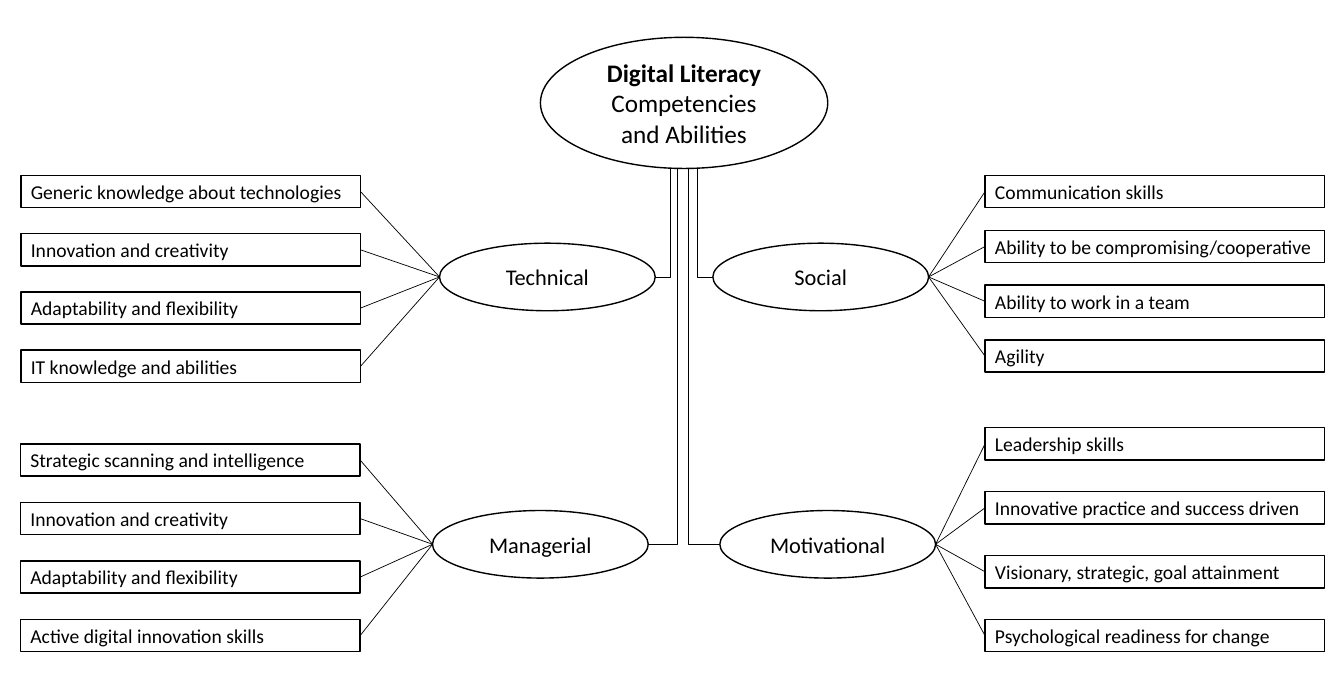
from dataclasses import dataclass

from pptx import Presentation
from pptx import util as u
from pptx.dml.color import RGBColor
from pptx.enum import shapes, text
from pptx.oxml import ns, xmlchemy

WIDTH, HEIGHT = u.Inches(13.33), u.Inches(6.69)
BLACK, WHITE = "000000", "FFFFFF"
FONT = "Calibri"
CENTRE = 50.9
ROOT_TOP, ROOT_WIDTH, ROOT_HEIGHT = 5.53, 21.38, 19.43
BRANCH_WIDTH, BRANCH_HEIGHT = 16.05, 10.01
SKILL_WIDTH, SKILL_HEIGHT = 25.28, 4.78


@dataclass(frozen=True)
class Branch:
    name: str
    side: int
    offset: float
    middle: float
    trunk: float
    skills_left: float
    skills_top: float
    skills_pitch: float
    skills: tuple[str, ...]


BRANCHES = (
    Branch("Technical", -1, 10.17, 41.03, 1.01, 1.55, 26.01, 8.62, (
        "Generic knowledge about technologies",
        "Innovation and creativity",
        "Adaptability and flexibility",
        "IT knowledge and abilities",
    )),
    Branch("Managerial", -1, 10.69, 80.64, 0.49, 1.52, 65.77, 8.67, (
        "Strategic scanning and intelligence",
        "Innovation and creativity",
        "Adaptability and flexibility",
        "Active digital innovation skills",
    )),
    Branch("Social", 1, 10.17, 41.03, 1.01, 73.29, 26.01, 8.12, (
        "Communication skills",
        "Ability to be compromising/cooperative",
        "Ability to work in a team",
        "Agility",
    )),
    Branch("Motivational", 1, 10.69, 80.64, 0.34, 73.29, 63.38, 9.47, (
        "Leadership skills",
        "Innovative practice and success driven",
        "Visionary, strategic, goal attainment",
        "Psychological readiness for change",
    )),
)


def across(percent: float) -> int:
    return round(WIDTH * percent / 100)


def down(percent: float) -> int:
    return round(HEIGHT * percent / 100)


def paint(color_format, color: str) -> None:
    color_format.rgb = RGBColor.from_string(color)


def add_box(slide, preset, left: float, top: float, width: float, height: float,
            runs: tuple[str, ...], size: int, alignment):
    shape = slide.shapes.add_shape(
        preset, across(left), down(top), across(width), down(height))
    shape.shadow.inherit = False
    shape.fill.solid()
    paint(shape.fill.fore_color, WHITE)
    paint(shape.line.color, BLACK)
    shape.line.width = u.Pt(1)
    shape.text_frame.word_wrap = True
    shape.text_frame.vertical_anchor = text.MSO_ANCHOR.MIDDLE
    paragraph = shape.text_frame.paragraphs[0]
    paragraph.alignment = alignment
    for content in runs:
        run = paragraph.add_run()
        run.text = content
        run.font.name = FONT
        run.font.size = u.Pt(size)
        paint(run.font.color, BLACK)
    return shape


def add_line(slide, start: tuple[float, float], end: tuple[float, float],
             bent: bool = False) -> None:
    kind = shapes.MSO_CONNECTOR.ELBOW if bent else shapes.MSO_CONNECTOR.STRAIGHT
    connector = slide.shapes.add_connector(
        kind, across(start[0]), down(start[1]), across(end[0]), down(end[1]))
    paint(connector.line.color, BLACK)
    connector.line.width = u.Pt(0.5)
    properties = connector._element.spPr
    properties.append(xmlchemy.OxmlElement("a:effectLst"))
    if bent:
        properties.find(ns.qn("a:prstGeom")).set("prst", "bentConnector2")


def add_root(slide) -> None:
    shape = add_box(
        slide, shapes.MSO_SHAPE.OVAL, CENTRE - ROOT_WIDTH / 2, ROOT_TOP,
        ROOT_WIDTH, ROOT_HEIGHT,
        ("Digital Literacy", " Competencies and Abilities"), 18,
        text.PP_ALIGN.CENTER)
    shape.text_frame.paragraphs[0].runs[0].font.bold = True


def add_branch(slide, branch: Branch) -> None:
    middle_x = CENTRE + branch.side * branch.offset
    reach = branch.side * BRANCH_WIDTH / 2
    add_line(slide, (middle_x - reach, branch.middle),
             (CENTRE + branch.side * branch.trunk, ROOT_TOP + ROOT_HEIGHT), True)
    add_box(slide, shapes.MSO_SHAPE.OVAL, middle_x - BRANCH_WIDTH / 2,
            branch.middle - BRANCH_HEIGHT / 2, BRANCH_WIDTH, BRANCH_HEIGHT,
            (branch.name,), 16, text.PP_ALIGN.CENTER)
    near_edge = branch.skills_left + (SKILL_WIDTH if branch.side < 0 else 0)
    for row, skill in enumerate(branch.skills):
        top = branch.skills_top + row * branch.skills_pitch
        add_box(slide, shapes.MSO_SHAPE.RECTANGLE, branch.skills_left, top,
                SKILL_WIDTH, SKILL_HEIGHT, (skill,), 14, text.PP_ALIGN.LEFT)
        add_line(slide, (middle_x + reach, branch.middle),
                 (near_edge, top + SKILL_HEIGHT / 2))


def main() -> None:
    presentation = Presentation()
    presentation.slide_width, presentation.slide_height = WIDTH, HEIGHT
    slide = presentation.slides.add_slide(presentation.slide_layouts[6])
    add_root(slide)
    for branch in BRANCHES:
        add_branch(slide, branch)
    presentation.save("out.pptx")


if __name__ == "__main__":
    main()
